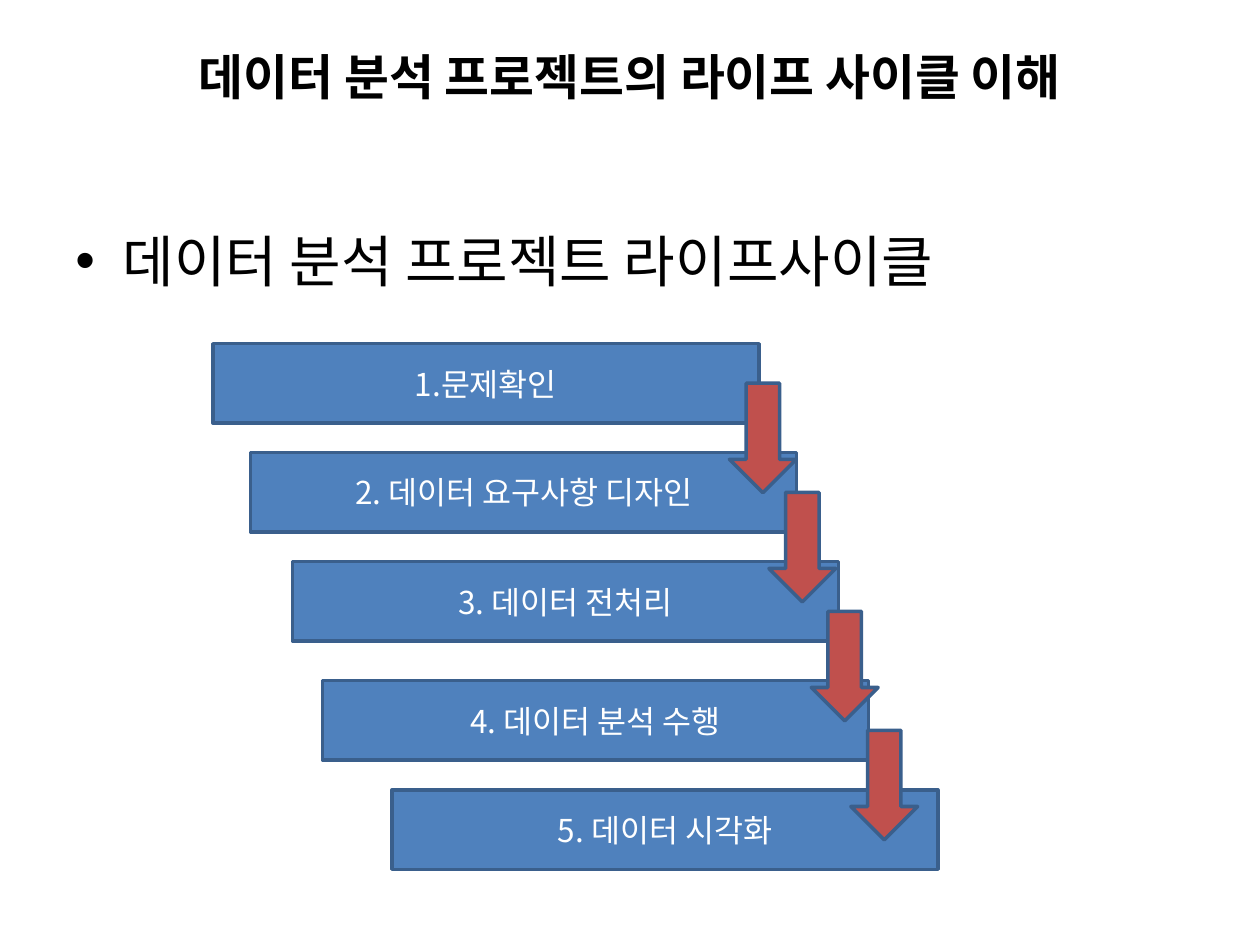
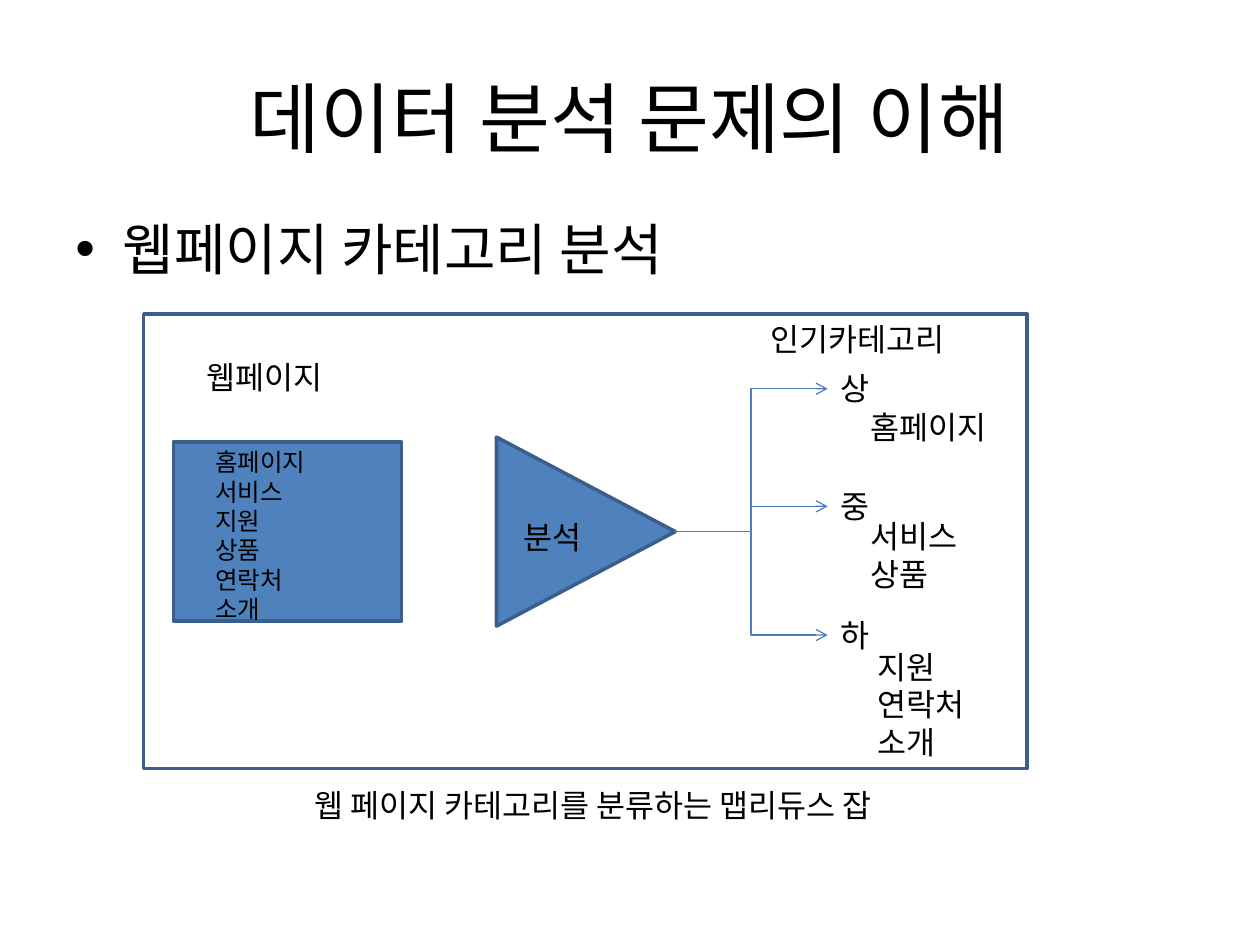
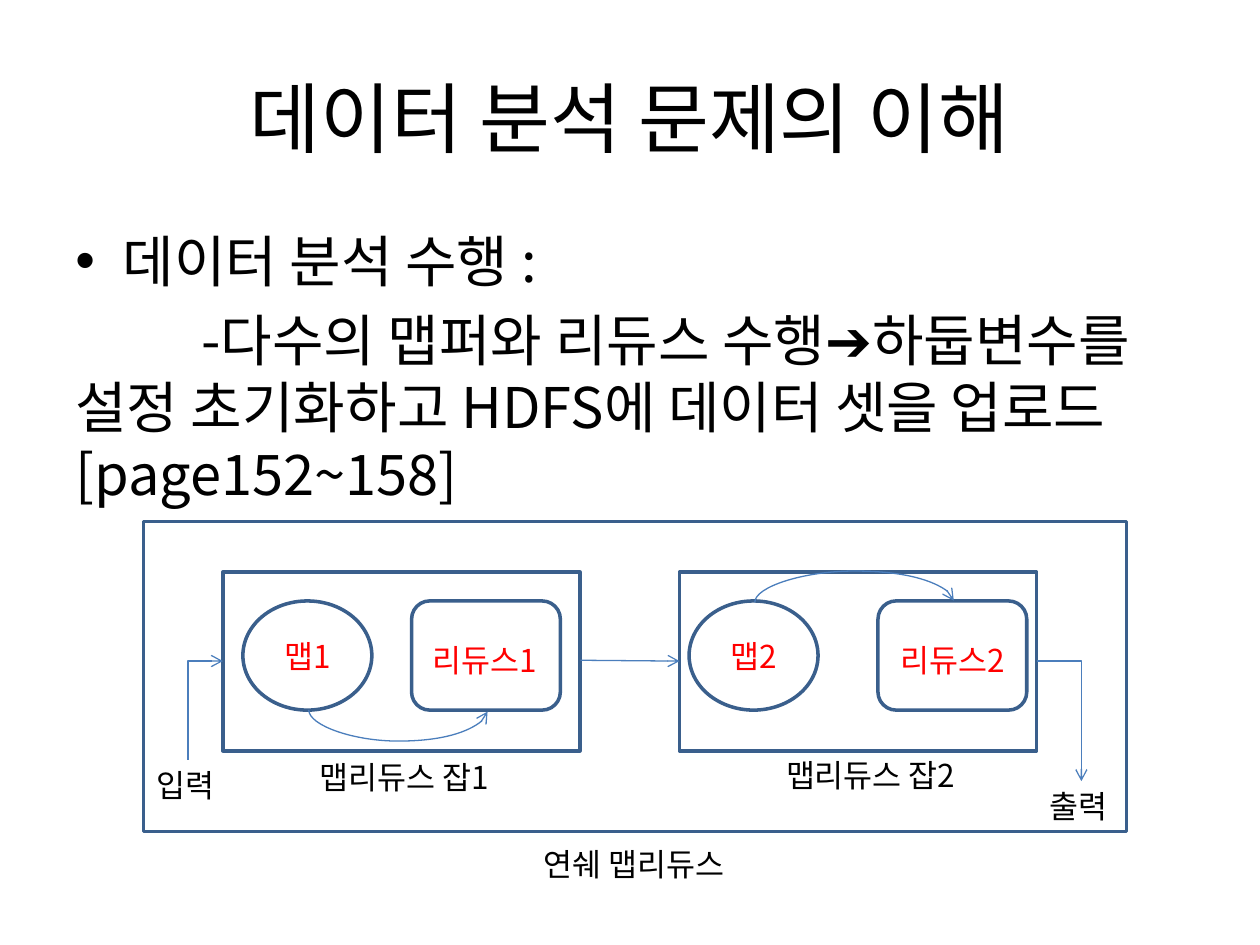
from pptx import Presentation
from pptx.dml.color import RGBColor
from pptx.enum.shapes import MSO_CONNECTOR as Connector, MSO_SHAPE as Preset
from pptx.enum.text import MSO_ANCHOR as Anchor, MSO_AUTO_SIZE as AutoSize, PP_ALIGN as Align
from pptx.oxml.ns import qn
from pptx.util import Pt
from lxml.etree import SubElement

# Shared style
FONT = "Noto Sans CJK KR"
BLACK, WHITE, RED = "000000", "FFFFFF", "FF0000"
BLUE, BRICK, OUTLINE, LINK = "4F81BD", "C0504D", "3A5F8C", "4B7EBC"
TITLE_AREA = (36, 21.6, 648, 90)
BODY_SIZE = 32

# Slide 1: (text, left, top) of each step; (left, top) of each arrow
CYCLE_TITLE = "데이터 분석 프로젝트의 라이프 사이클 이해"
CYCLE_BODY = "데이터 분석 프로젝트 라이프사이클"
STEP_SIZE, ARROW_SIZE = (312, 45.4), (38.2, 62.6)
STEPS = [
    ("1.문제확인", 121.6, 196.4),
    ("2. 데이터 요구사항 디자인", 143.2, 258.7),
    ("3. 데이터 전처리", 167.2, 321),
    ("4. 데이터 분석 수행", 184.3, 389),
    ("5. 데이터 시각화", 223.9, 451.4),
]
ARROWS = [(416.8, 219), (439.4, 281.4), (463.6, 349.4), (486.2, 417.4)]

# Slide 2: (lines, left, top, width)
PROBLEM_TITLE = "데이터 분석 문제의 이해"
CATEGORY_BODY = "웹페이지 카테고리 분석"
CATEGORY_LABELS = [
    (["분석"], 292.3, 292.3, 51),
    (["웹페이지"], 110.9, 200.9, 87),
    (["인기카테고리"], 433.4, 179.3, 124),
    (["웹 페이지 카테고리를 분류하는 맵리듀스 잡"], 172.8, 445.7, 374),
]
PAGES = ["홈페이지", "서비스", "지원", "상품", "연락처", "소개"]
# (rank, rank top, arrow height, members, members left, members top)
RANKS = [
    ("상", 207.4, 222.2, ["홈페이지"], 490.3, 229.7),
    ("중", 275, 289.4, ["서비스", "상품"], 490.3, 291.9),
    ("하", 348.5, 362.9, ["지원", "연락처", "소개"], 494.6, 366.5),
]
RANK_LEFT, TRIANGLE_TIP = 473, (385.4, 303.9)

# Slide 3: (number, job left, map left, reduce left, reduce label left, job label left, top)
RUN_BODY = "데이터 분석 수행 :"
RUN_DETAIL = ("-다수의 맵퍼와 리듀스 수행➔하둡변수를 설정 초기화하고 "
              "HDFS에 데이터 셋을 업로드[page152~158]")
JOBS = [
    (1, 127.4, 138.8, 235.2, 239.8, 175.7, 429.8),
    (2, 388.3, 393.8, 501.7, 507.6, 442.1, 428.4),
]
CHAIN_LABELS = [
    (["입력"], 82.1, 434.2, 51),
    (["출력"], 592.6, 446.4, 51),
    (["연쉐 맵리듀스"], 303.8, 479.5, 130),
]
# (start, end, preset, turn, flips, bend)
CHAIN_LINKS = [
    ((176.4, 405.6), (278.6, 406.6), "curvedConnector3", 270, "H", 18),
    ((331.7, 377.3), (388.3, 377.8), "line", 0, "", None),
    ((431.3, 344.2), (545, 343.2), "curvedConnector3", 90, "HV", 18),
    ((107.5, 434.2), (127.4, 377.8), "bentConnector2", 90, "HV", None),
    ((592.6, 377.8), (617.9, 446.4), "bentConnector2", 0, "", None),
]


def color(value):
    return RGBColor.from_string(value)


def write(box, lines, size=18, ink=BLACK, bold=False, align=Align.LEFT,
          anchor=Anchor.TOP, wrap=True, before=0):
    frame = box.text_frame
    frame.word_wrap = wrap
    frame.auto_size = AutoSize.NONE if wrap else AutoSize.SHAPE_TO_FIT_TEXT
    frame.vertical_anchor = anchor
    for index, line in enumerate(lines):
        para = frame.add_paragraph() if index else frame.paragraphs[0]
        para.alignment = align
        if before:
            para.space_before = Pt(before)
        span = para.add_run()
        span.text = line
        font = span.font
        font.name, font.size, font.bold = FONT, Pt(size), bold
        font.color.rgb = color(ink)
        SubElement(font._element, qn("a:ea")).set("typeface", FONT)
    return frame


def text_area(page, area, lines, **style):
    box = page.shapes.add_textbox(*map(Pt, area))
    return write(box, lines, **style)


def label(page, lines, left, top, width, size=18, ink=BLACK):
    height = 7.2 + len(lines) * size * 1.2
    text_area(page, (left, top, width, height), lines, size=size, ink=ink, wrap=False)


def shape(page, preset, area, fill=None, text=None, ink=WHITE):
    box = page.shapes.add_shape(preset, *map(Pt, area))
    box.shadow.inherit = False
    if fill:
        box.fill.solid()
        box.fill.fore_color.rgb = color(fill)
    else:
        box.fill.background()
    box.line.color.rgb = color(OUTLINE)
    box.line.width = Pt(2)
    if text:
        write(box, [text], ink=ink, align=Align.CENTER, anchor=Anchor.MIDDLE)
    return box


def link(page, start, end, preset, turn=0, flips="", bend=None):
    (x1, y1), (x2, y2) = start, end
    if turn:  # a turned frame swaps its sides around the same centre
        wide, high = abs(y2 - y1), abs(x2 - x1)
        left, top = (x1 + x2 - wide) / 2, (y1 + y2 - high) / 2
        x1, y1, x2, y2 = left, top, left + wide, top + high
    line = page.shapes.add_connector(Connector.STRAIGHT, *map(Pt, (x1, y1, x2, y2)))
    line.line.color.rgb = color(LINK)
    line.line.width = Pt(0.75)
    SubElement(line.line._get_or_add_ln(), qn("a:tailEnd")).set("type", "arrow")
    props = line._element.spPr
    SubElement(props, qn("a:effectLst"))
    frame = props.find(qn("a:xfrm"))
    if turn:
        frame.set("rot", str(turn * 60000))
    for axis in flips:
        frame.set("flip" + axis, "1")
    geometry = props.find(qn("a:prstGeom"))
    geometry.set("prst", preset)
    if bend:
        guide = SubElement(geometry.find(qn("a:avLst")), qn("a:gd"))
        guide.set("name", "adj1")
        guide.set("fmla", f"val {bend * 100000}")


def add_page(title, body, body_top=126, title_size=44, title_bold=False, title_lift=0):
    page = deck.slides.add_slide(deck.slide_layouts[6])
    frame = text_area(page, TITLE_AREA, [title], size=title_size, bold=title_bold,
                      align=Align.CENTER, anchor=Anchor.MIDDLE)
    frame.margin_bottom = Pt(3.6 + 2 * title_lift)
    frame = text_area(page, (36, body_top, 648, 356.4), body, size=BODY_SIZE,
                      before=BODY_SIZE / 5)
    # The first paragraph has a bullet, the others a deep first line
    for index, para in enumerate(frame.paragraphs):
        props = para._p.get_or_add_pPr()
        props.set("marL", str(Pt(0 if index else 27)))
        props.set("indent", str(Pt(72 if index else -27)))
        if not index:
            SubElement(props, qn("a:buFont")).set("typeface", "Arial")
            SubElement(props, qn("a:buChar")).set("char", "•")
    return page


deck = Presentation()
deck.slide_width, deck.slide_height = Pt(720), Pt(540)

# Slide 1: staircase of steps
page = add_page(CYCLE_TITLE, [CYCLE_BODY], title_size=27.9, title_bold=True, title_lift=23.4)
for text, left, top in STEPS:
    shape(page, Preset.RECTANGLE, (left, top, *STEP_SIZE), BLUE, text)
for place in ARROWS:
    shape(page, Preset.DOWN_ARROW, (*place, *ARROW_SIZE), BRICK)

# Slide 2: pages sorted into ranks
page = add_page(PROBLEM_TITLE, [CATEGORY_BODY], body_top=118.8)
shape(page, Preset.RECTANGLE, (99.2, 252.7, 130.4, 102.2), BLUE)
triangle = shape(page, Preset.ISOSCELES_TRIANGLE, (280.8, 252.7, 108, 102.2), BLUE)
triangle.rotation = 90
label(page, PAGES, 115.9, 252, 71, size=14)
for rank, top, arrow_top, members, members_left, members_top in RANKS:
    label(page, [rank], RANK_LEFT, top, 32)
    link(page, TRIANGLE_TIP, (RANK_LEFT, arrow_top), "bentConnector3")
    label(page, members, members_left, members_top, 87)
for words in CATEGORY_LABELS:
    label(page, *words)
shape(page, Preset.RECTANGLE, (82.1, 179.3, 504.7, 259.9))

# Slide 3: two chained jobs
page = add_page(PROBLEM_TITLE, [RUN_BODY, RUN_DETAIL])
for number, job, mapper, reducer, reducer_label, job_label, job_label_top in JOBS:
    shape(page, Preset.OVAL, (mapper, 343.4, 73.7, 62.4), text=f"맵{number}", ink=RED)
    shape(page, Preset.ROUNDED_RECTANGLE, (reducer, 343.4, 85, 62.4))
    label(page, [f"리듀스{number}"], reducer_label, 362.9, 79, ink=RED)
    shape(page, Preset.RECTANGLE, (job, 326.9, 204, 102.2))
    label(page, [f"맵리듀스 잡{number}"], job_label, job_label_top, 122)
for route in CHAIN_LINKS:
    link(page, *route)
for words in CHAIN_LABELS:
    label(page, *words)
shape(page, Preset.RECTANGLE, (82.1, 298.1, 561.6, 177.1))

deck.save("out.pptx")
